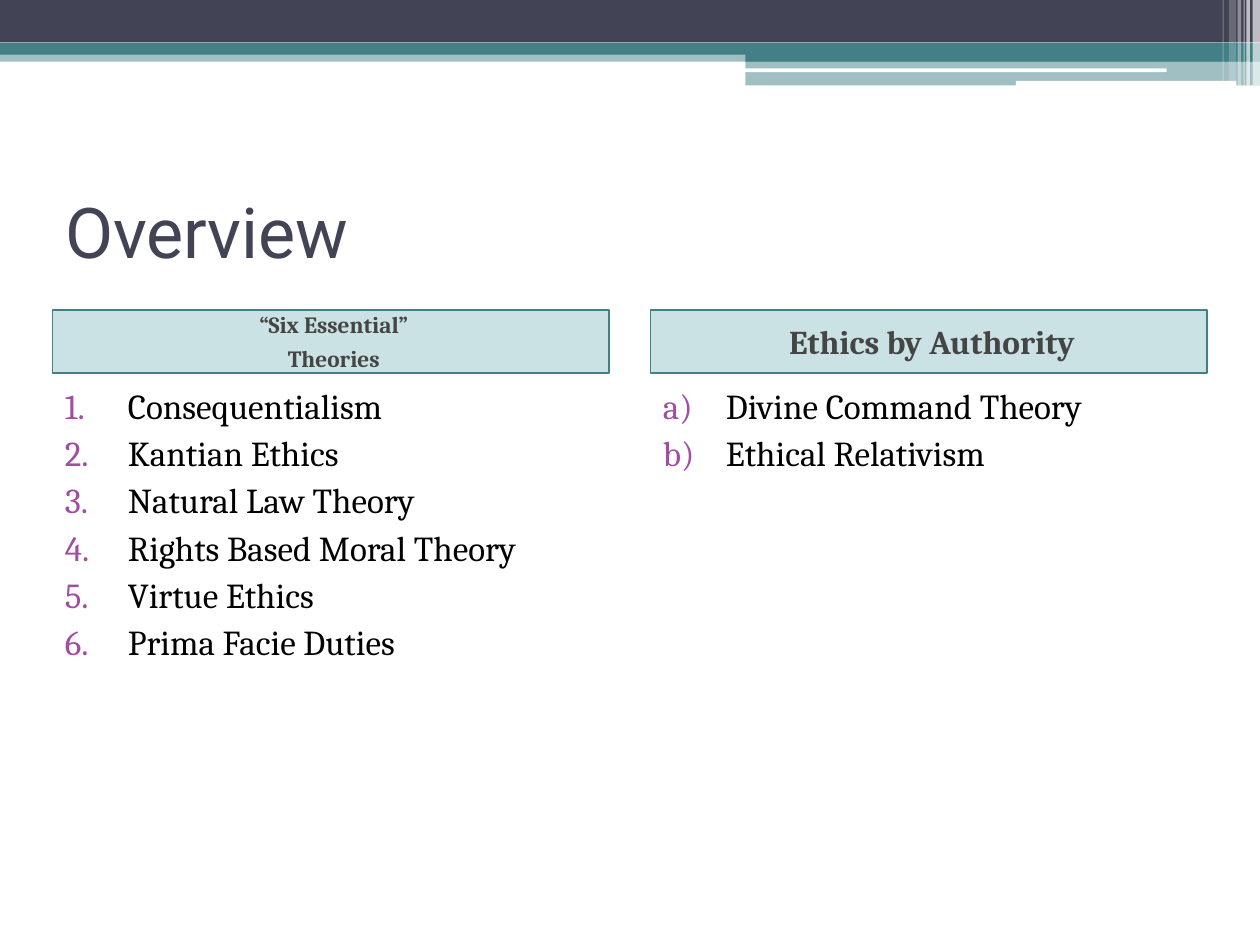
"""Build the Overview slide: a banded header and two titled lists of ethical theories."""
from lxml import etree
from pptx import Presentation
from pptx import util as u
from pptx.dml.color import RGBColor
from pptx.enum import shapes, text
from pptx.oxml import ns

Pt = u.Pt


def paint(fmt, hue, alpha=100):
    fmt.solid()
    fmt.fore_color.rgb = RGBColor.from_string(hue)
    if alpha < 100:
        tint = fmt._xPr.find(".//" + ns.qn("a:srgbClr"))
        etree.SubElement(tint, ns.qn("a:alpha"), val=str(alpha * 1000))


def block(kind, box, hue, alpha=100):
    shape = slide.shapes.add_shape(kind, *map(Pt, box))
    shape.shadow.inherit = False
    shape.line.fill.background()
    paint(shape.fill, hue, alpha)
    return shape


deck = Presentation()
deck.slide_width, deck.slide_height = Pt(720), Pt(540)
slide = deck.slides.add_slide(deck.slide_layouts[5])
RECT = shapes.MSO_SHAPE.RECTANGLE
ROUND = shapes.MSO_SHAPE.ROUNDED_RECTANGLE
TEAL, NAVY, WHITE = "438086", "424456", "FFFFFF"

bands = [
    (RECT, (0, 28.8, 720, 6.5), TEAL, 50),
    (RECT, (0, 0, 720, 24.3), NAVY, 100),
    (RECT, (0, 24.3, 720, 7), TEAL, 100),
    (RECT, (426, 28, 294, 7.2), TEAL, 100),
    (RECT, (426, 34.9, 294, 14), TEAL, 50),
    (ROUND, (425.5, 39.1, 241.2, 2.2), WHITE, 100),
    (ROUND, (580.5, 46.2, 126, 2.8), WHITE, 100),
]
for band in bands:
    block(*band)

stripes = [
    (715.8, 4.2, 48.8, 65),
    (712.2, 2, 48.8, 65),
    (710.6, 0.7, 48.8, 60),
    (707.2, 2, 48.8, 40),
    (702.2, 4.2, 46.2, 20),
    (698.6, 0.7, 46.2, 30),
]
for left, width, height, alpha in stripes:
    block(RECT, (left, 0, width, height), WHITE, alpha)

title = slide.shapes.title
title.left, title.top, title.width, title.height = map(Pt, (30, 90, 660, 84))
title.text_frame.text = "Overview"
title.text_frame.vertical_anchor = text.MSO_ANCHOR.MIDDLE
head = title.text_frame.paragraphs[0]
head.alignment = text.PP_ALIGN.LEFT
head.font.size, head.font.name = Pt(40), "Roboto"
paint(head.font.fill, NAVY)

columns = [
    (30, "“Six Essential”\nTheories", 13.3, "arabicPeriod",
     ["Consequentialism", "Kantian Ethics", "Natural Law Theory",
      "Rights Based Moral Theory", "Virtue Ethics", "Prima Facie Duties"]),
    (371.8, "Ethics by Authority", 19, "alphaLcParenR",
     ["Divine Command Theory", "Ethical Relativism"]),
]
for left, name, size, scheme, items in columns:
    label = block(RECT, (left, 177, 318, 36), "328E97", 25)
    paint(label.line.fill, TEAL)
    label.line.width = Pt(1)
    frame = label.text_frame
    frame.text = name
    frame.vertical_anchor = text.MSO_ANCHOR.MIDDLE
    for i, para in enumerate(frame.paragraphs):
        para._p.get_or_add_pPr().set("marL", str(Pt(3.6)))
        para.alignment = text.PP_ALIGN.CENTER
        para.space_before = Pt(3 if i else 0)
        para.font.size, para.font.name, para.font.bold = Pt(size), "Cambria", True
        paint(para.font.fill, "454545")

    frame = slide.shapes.add_textbox(*map(Pt, (left, 213, 318, 306))).text_frame
    frame.word_wrap = True
    frame.margin_top = Pt(6.6)
    frame.text = "\n".join(items)
    for i, para in enumerate(frame.paragraphs):
        props = para._p.get_or_add_pPr()
        props.set("marL", str(Pt(36)))
        props.set("indent", str(-Pt(36)))
        para.space_before = Pt(3 if i else 0)
        tone = etree.SubElement(props, ns.qn("a:buClr"))
        etree.SubElement(tone, ns.qn("a:srgbClr"), val="A04DA3")
        etree.SubElement(props, ns.qn("a:buFont"), typeface="Cambria")
        etree.SubElement(props, ns.qn("a:buAutoNum"), type=scheme)
        para.font.size, para.font.name = Pt(20), "Cambria"
        paint(para.font.fill, "000000")

deck.save("out.pptx")
